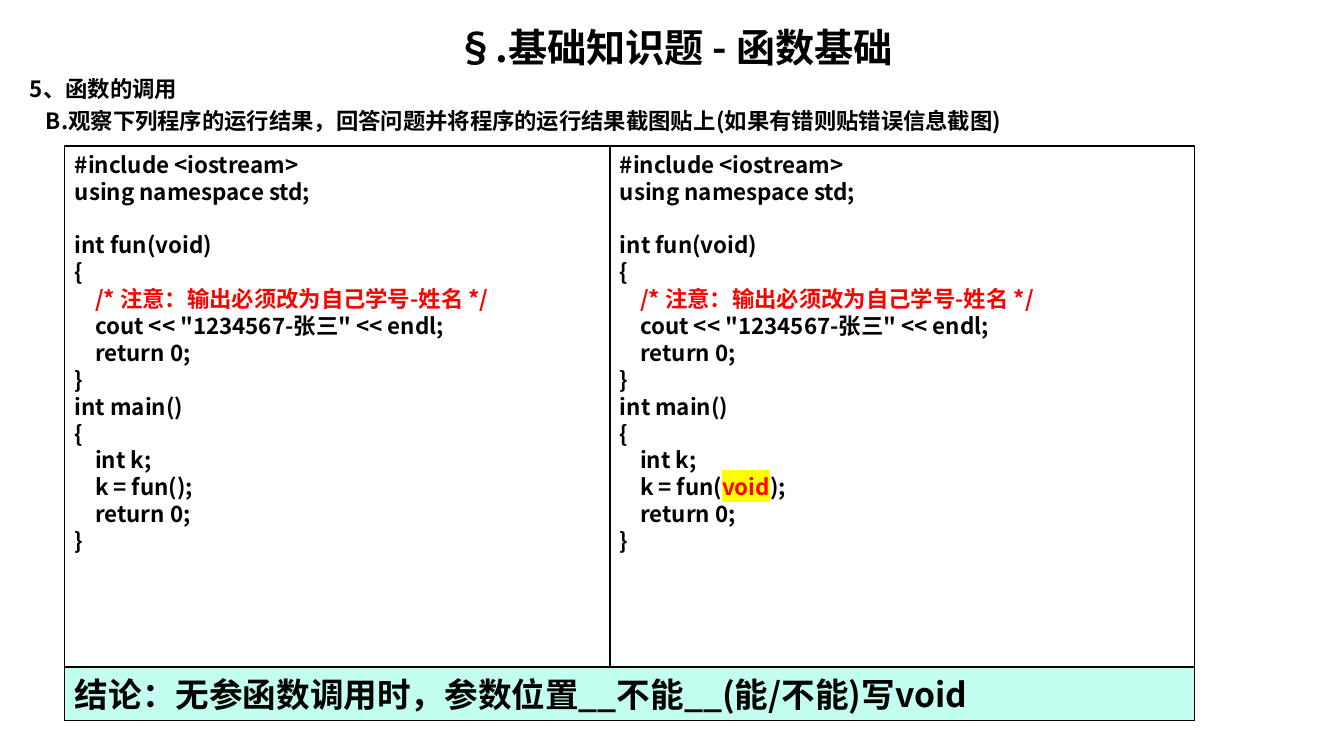
from lxml.etree import SubElement
from pptx import Presentation
from pptx.dml.color import RGBColor
from pptx.enum.shapes import MSO_SHAPE
from pptx.enum.text import MSO_ANCHOR, PP_ALIGN
from pptx.oxml.ns import qn
from pptx.util import Pt

PX = 914400 / 100.8
FONT = "Noto Sans CJK SC"
BLACK, RED, YELLOW, MINT = "000000", "FF0000", "FFFF00", "C2FFF0"


def add_run(p, text, size, color=BLACK, highlight=None):
    r = p.add_run()
    r.text = text
    r.font.size = Pt(size)
    r.font.bold = True
    r.font.color.rgb = RGBColor.from_string(color)
    rPr = r.font._element
    if highlight:
        mark = SubElement(rPr, qn("a:highlight"))
        SubElement(mark, qn("a:srgbClr")).set("val", highlight)
    r.font.name = FONT
    SubElement(rPr, qn("a:ea")).set("typeface", FONT)


def add_panel(x, y, w, h, fill=None):
    s = prs_slide.shapes.add_shape(MSO_SHAPE.RECTANGLE, *[round(v * PX) for v in (x, y, w, h)])
    s.shadow.inherit = False
    s.line.color.rgb = RGBColor.from_string(BLACK)
    s.line.width = Pt(0.75)
    if fill:
        s.fill.solid()
        s.fill.fore_color.rgb = RGBColor.from_string(fill)
    else:
        s.fill.background()
    tf = s.text_frame
    tf.word_wrap = True
    return tf


prs = Presentation()
prs.slide_width, prs.slide_height = round(1344 * PX), round(756 * PX)
prs_slide = prs.slides.add_slide(prs.slide_layouts[6])

# Title and question
box = prs_slide.shapes.add_textbox(*[round(v * PX) for v in (20, 18, 1309, 715)])
tf = box.text_frame
tf.word_wrap = True
headings = [
    ("§.基础知识题 - 函数基础", 28, PP_ALIGN.CENTER, 0),
    ("5、函数的调用", 16, PP_ALIGN.LEFT, 0),
    ("B.观察下列程序的运行结果，回答问题并将程序的运行结果截图贴上(如果有错则贴错误信息截图)",
     16, PP_ALIGN.LEFT, 16),
]
for i, (text, size, align, indent) in enumerate(headings):
    p = tf.add_paragraph() if i else tf.paragraphs[0]
    p.alignment = align
    p.line_spacing = Pt(size * 1.2)
    if i:
        p.space_before = Pt(3.8)
    if indent:
        p._p.get_or_add_pPr().set("marL", str(round(indent * PX)))
    add_run(p, text, size)

# Two programs side by side, differing only in the call
CODE = """#include <iostream>
using namespace std;

int fun(void)
{
    /* 注意：输出必须改为自己学号-姓名 */
    cout << "1234567-张三" << endl;
    return 0;
}
int main()
{
    int k;
    k = fun(ARG);
    return 0;
}"""
for x, w, arg in [(65, 1130, ""), (610, 585, "void")]:
    tf = add_panel(x, 146, w, 575)
    tf.vertical_anchor = MSO_ANCHOR.TOP
    for i, line in enumerate(CODE.split("\n")):
        p = tf.add_paragraph() if i else tf.paragraphs[0]
        p.alignment = PP_ALIGN.LEFT
        p.line_spacing = Pt(19.2)
        before, marker, after = line.partition("ARG")
        if before:
            add_run(p, before, 16, RED if "/*" in before else BLACK)
        if marker and arg:
            add_run(p, arg, 16, RED, YELLOW)
        if after:
            add_run(p, after, 16)

# Conclusion
tf = add_panel(65, 667, 1130, 54, MINT)
tf.vertical_anchor = MSO_ANCHOR.MIDDLE
p = tf.paragraphs[0]
p.alignment = PP_ALIGN.LEFT
p.line_spacing = Pt(28.8)
add_run(p, "结论：无参函数调用时，参数位置__不能__(能/不能)写void", 24)

prs.save("out.pptx")
